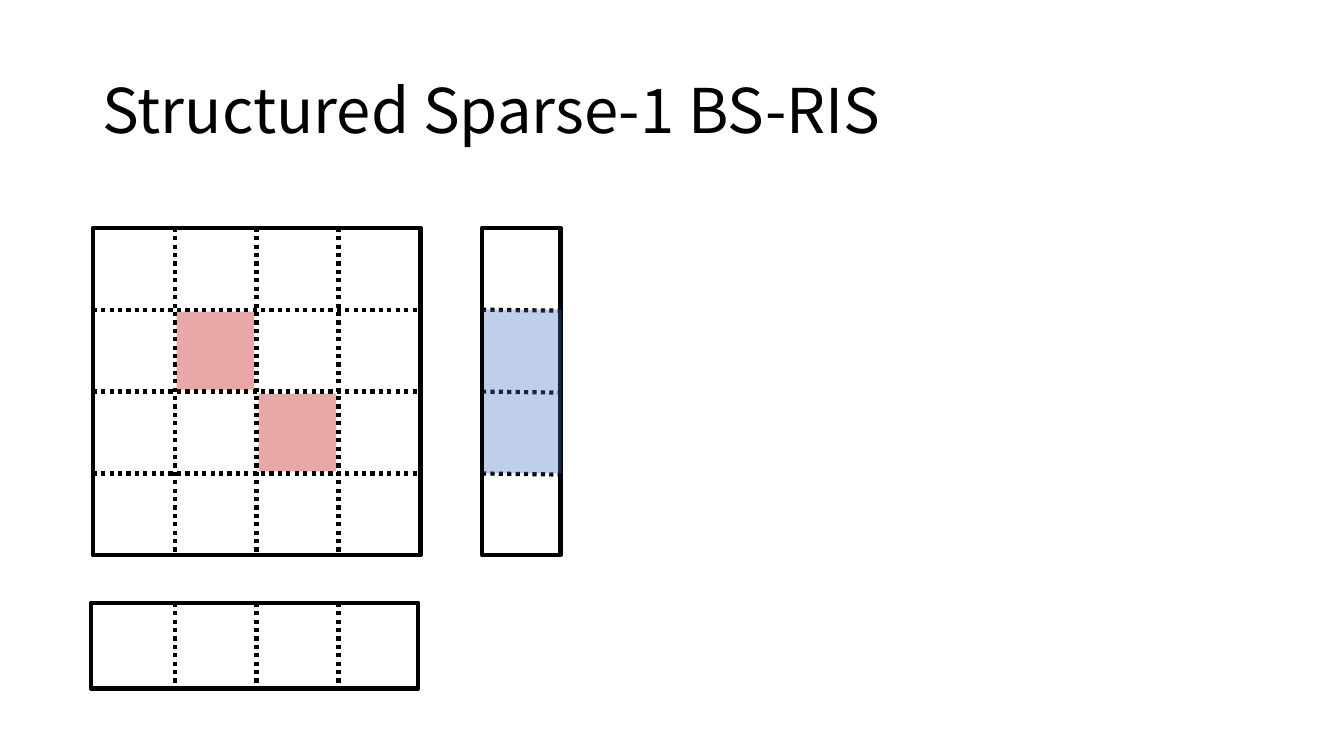
from lxml.etree import SubElement
from pptx import Presentation
from pptx.dml.color import RGBColor
from pptx.enum.dml import MSO_LINE
from pptx.enum.shapes import MSO_CONNECTOR, MSO_SHAPE
from pptx.enum.text import MSO_ANCHOR
from pptx.oxml.ns import qn
from pptx.util import Inches, Pt

TITLE = "Structured Sparse-1 BS-RIS"
FONT = "Noto Sans CJK SC"
BLACK, RED, BLUE = "000000", "C00000", "4472C4"
LINE_WIDTH = 3
TINT_OPACITY = 34

# The three grids share the cell lines of the square matrix.
LEFT, TOP, SIDE, CELLS = 0.92, 2.26, 3.25, 4
CELL = SIDE / CELLS
DIVIDERS = range(1, CELLS)

# frame: left, top, width, height; tinted: (column, row) of each filled cell
GRIDS = [
    dict(frame=(LEFT, TOP, SIDE, SIDE), columns=DIVIDERS, rows=DIVIDERS,
         tint=RED, tinted=[(1, 1), (2, 2)], gap=0.02),
    dict(frame=(0.9, 5.98, SIDE, 0.85), columns=DIVIDERS, rows=(),
         tint=None, tinted=[], gap=0),
    dict(frame=(4.78, TOP, 0.78, SIDE), columns=(), rows=DIVIDERS,
         tint=BLUE, tinted=[(0, 1), (0, 2)], gap=0, slant=0.01),
]


def color(hex_code):
    return RGBColor.from_string(hex_code)


def add_text(slide, text, box, *, size, font, ink, spacing):
    frame = slide.shapes.add_textbox(*map(Inches, box)).text_frame
    frame.word_wrap = True
    frame.vertical_anchor = MSO_ANCHOR.MIDDLE
    paragraph = frame.paragraphs[0]
    paragraph.line_spacing = spacing
    run = paragraph.add_run()
    run.text = text
    run.font.size, run.font.name = Pt(size), font
    run.font.color.rgb = color(ink)
    for script in ("a:ea", "a:cs"):
        SubElement(run.font._element, qn(script), typeface=font)


def add_frame(slide, box):
    outline = slide.shapes.add_shape(MSO_SHAPE.RECTANGLE, *map(Inches, box))
    outline.shadow.inherit = False
    outline.fill.background()
    outline.line.color.rgb = color(BLACK)
    outline.line.width = Pt(LINE_WIDTH)


def add_divider(slide, *ends):
    divider = slide.shapes.add_connector(MSO_CONNECTOR.STRAIGHT, *map(Inches, ends))
    divider.line.color.rgb = color(BLACK)
    divider.line.width = Pt(LINE_WIDTH)
    divider.line.dash_style = MSO_LINE.ROUND_DOT
    SubElement(divider._element.spPr, qn("a:effectLst"))


def add_tint(slide, box, tint):
    """Cover a cell with a translucent, borderless fill."""
    cell = slide.shapes.add_shape(MSO_SHAPE.RECTANGLE, *map(Inches, box))
    cell.shadow.inherit = False
    cell.line.fill.background()
    cell.fill.solid()
    cell.fill.fore_color.rgb = color(tint)
    rgb = cell._element.spPr.find(qn("a:solidFill")).find(qn("a:srgbClr"))
    SubElement(rgb, qn("a:alpha"), val=str(TINT_OPACITY * 1000))


def add_grid(slide, frame, columns, rows, tint, tinted, gap, slant=0):
    left, top, width, height = frame
    add_frame(slide, frame)
    for row in rows:
        y = TOP + row * CELL
        add_divider(slide, left, y, left + width, y + slant)
    for column in columns:
        x = LEFT + column * CELL
        add_divider(slide, x, top, x, top + height)
    for column, row in tinted:
        cell_left = left + column * CELL + 0.02
        cell_top = TOP + row * CELL + gap
        add_tint(slide, (cell_left, cell_top, 0.77, CELL - 2 * gap), tint)


def main():
    deck = Presentation()
    deck.slide_width, deck.slide_height = Inches(13.33), Inches(7.5)
    slide = deck.slides.add_slide(deck.slide_layouts[6])
    add_text(slide, TITLE, (LEFT, 0.4, 11.5, 1.45),
             size=44, font=FONT, ink=BLACK, spacing=0.9)
    for grid in GRIDS:
        add_grid(slide, **grid)
    deck.save("out.pptx")


if __name__ == "__main__":
    main()
